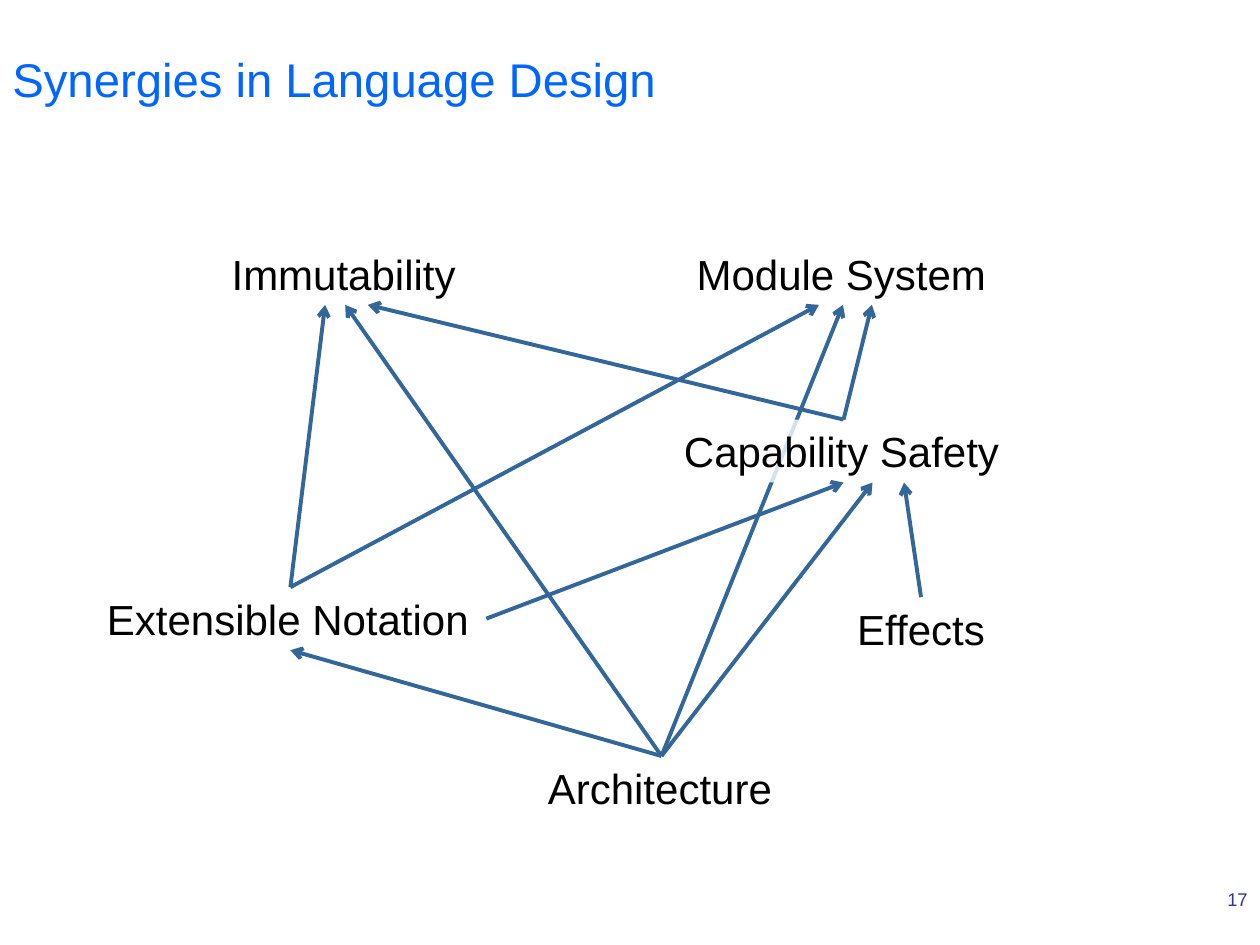
from dataclasses import dataclass

from lxml.etree import SubElement
from pptx import Presentation
from pptx.dml.color import RGBColor
from pptx.enum.shapes import MSO_CONNECTOR, MSO_SHAPE
from pptx.enum.text import MSO_ANCHOR, MSO_AUTO_SIZE, PP_ALIGN
from pptx.oxml.ns import qn
from pptx.util import Inches, Pt


@dataclass(frozen=True)
class Theme:
    font: str = "Arial"
    title: RGBColor = RGBColor(0x00, 0x66, 0xFF)
    topic: RGBColor = RGBColor(0x00, 0x00, 0x00)
    number: RGBColor = RGBColor(0x33, 0x33, 0x99)
    arrow: RGBColor = RGBColor(0x33, 0x66, 0x99)
    veil: RGBColor = RGBColor(0xFF, 0xFF, 0xFF)
    title_size: float = 27
    topic_size: float = 24
    number_size: float = 10.5
    arrow_width: float = 2.25


THEME = Theme()

# Content: topic -> left, top, width in inches
TOPIC_HEIGHT = 0.5
TOPICS = {
    "Immutability": (1.74, 1.92, 2.0),
    "Module System": (5.43, 1.92, 2.52),
    "Capability Safety": (5.33, 3.33, 2.73),
    "Extensible Notation": (0.75, 4.66, 3.11),
    "Effects": (6.7, 4.74, 1.22),
    "Architecture": (4.25, 6.0, 2.0),
}
VEILED = ("Extensible Notation", "Capability Safety")
CENTERED = ("Effects",)

# Arrows: source, side it leaves, target, shift from the target's bottom centre
ARROW_BEHIND = ("Architecture", "top", "Module System", 0)
ARROWS = [
    ("Extensible Notation", "top", "Immutability", -0.16),
    ("Capability Safety", "top", "Module System", 0.23),
    ("Extensible Notation", "top", "Module System", -0.19),
    ("Capability Safety", "top", "Immutability", 0.18),
    ("Architecture", "top", "Immutability", 0),
    ("Architecture", "top", "Extensible Notation", 0),
    ("Architecture", "top", "Capability Safety", 0.23),
    ("Effects", "top", "Capability Safety", 0.48),
    ("Extensible Notation", "right", "Capability Safety", 0),
]

deck = Presentation()
deck.slide_width, deck.slide_height = Inches(10), Inches(7.5)
page = deck.slides.add_slide(deck.slide_layouts[6])


def write(box, text, size, color, align=PP_ALIGN.LEFT, anchor=MSO_ANCHOR.TOP, wrap=True):
    frame = box.text_frame
    frame.word_wrap = wrap
    frame.vertical_anchor = anchor
    para = frame.paragraphs[0]
    para.text = text
    para.alignment = align
    para.font.name = THEME.font
    para.font.size = Pt(size)
    para.font.color.rgb = color


def add_topic(name):
    left, top, width = TOPICS[name]
    area = [Inches(value) for value in (left, top, width, TOPIC_HEIGHT)]
    if name in VEILED:
        box = page.shapes.add_shape(MSO_SHAPE.RECTANGLE, *area)
        box.shadow.inherit = False
        box.line.fill.background()
        box.fill.solid()
        box.fill.fore_color.rgb = THEME.veil
        color = box.fill._xPr.find(qn("a:solidFill"))[0]
        SubElement(color, qn("a:alpha"), val="80000")
    else:
        box = page.shapes.add_textbox(*area)
    align = PP_ALIGN.CENTER if name in CENTERED else PP_ALIGN.LEFT
    write(box, name, THEME.topic_size, THEME.topic, align, wrap=False)
    box.text_frame.auto_size = MSO_AUTO_SIZE.SHAPE_TO_FIT_TEXT


def anchor_point(name, side):
    left, top, width = TOPICS[name]
    return {
        "top": (left + width / 2, top),
        "bottom": (left + width / 2, top + TOPIC_HEIGHT),
        "right": (left + width, top + TOPIC_HEIGHT / 2),
    }[side]


def add_arrow(source, side, target, shift):
    start_x, start_y = anchor_point(source, side)
    end_x, end_y = anchor_point(target, "bottom")
    points = [Inches(value) for value in (start_x, start_y, end_x + shift, end_y)]
    arrow = page.shapes.add_connector(MSO_CONNECTOR.STRAIGHT, *points)
    arrow.line.color.rgb = THEME.arrow
    arrow.line.width = Pt(THEME.arrow_width)
    SubElement(arrow.line._get_or_add_ln(), qn("a:tailEnd"), type="arrow")
    SubElement(arrow._element.spPr, qn("a:effectLst"))


# Title and page number
title = page.shapes.add_textbox(0, 0, deck.slide_width, Inches(1.25))
write(title, "Synergies in Language Design", THEME.title_size, THEME.title,
      anchor=MSO_ANCHOR.MIDDLE)
number = page.shapes.add_textbox(Inches(7.5), Inches(7), Inches(2.5), Inches(0.27))
write(number, "17", THEME.number_size, THEME.number, PP_ALIGN.RIGHT)

# Diagram: one arrow passes behind the topics
add_arrow(*ARROW_BEHIND)
for topic in TOPICS:
    add_topic(topic)
for link in ARROWS:
    add_arrow(*link)

deck.save("out.pptx")
